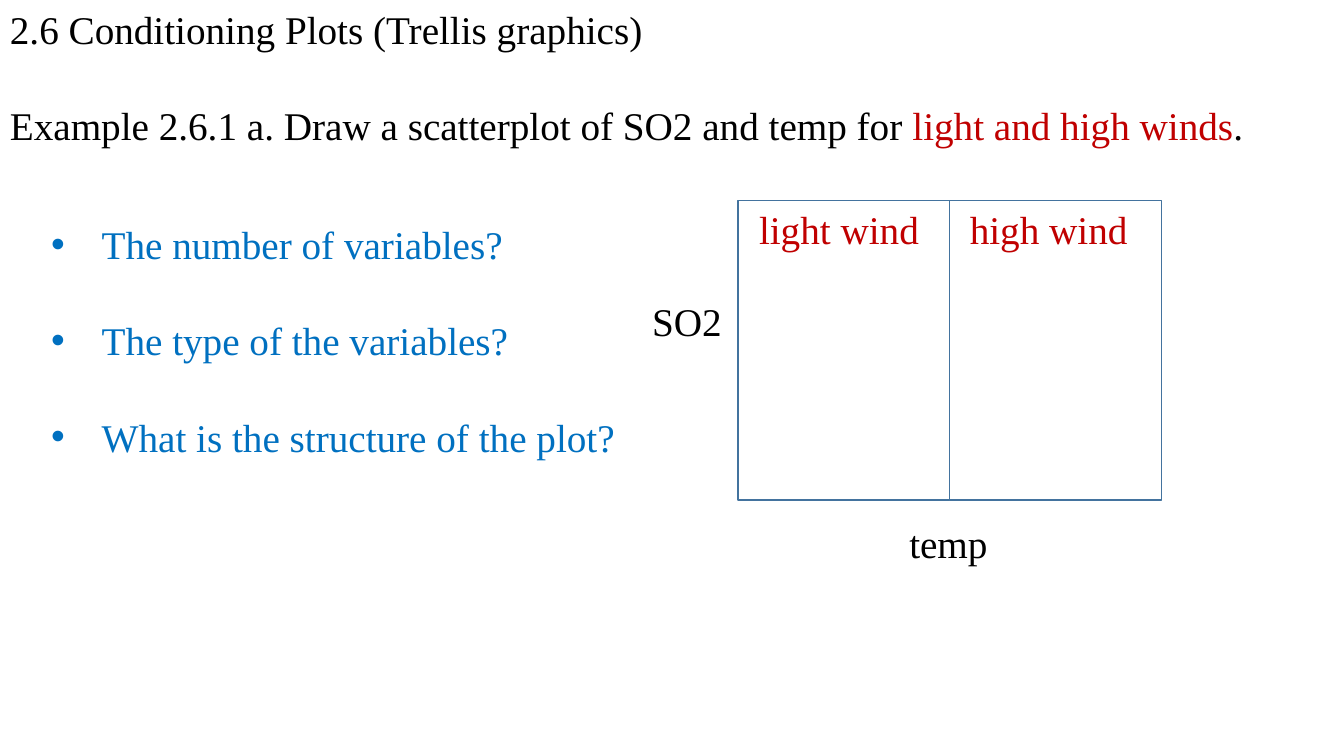
from dataclasses import dataclass

from lxml.etree import SubElement
from pptx import Presentation
from pptx.dml.color import RGBColor
from pptx.enum.shapes import MSO_SHAPE as Shape
from pptx.oxml.ns import qn
from pptx.util import Pt

PX = 9144


@dataclass(frozen=True)
class Theme:
    font: str = "Times New Roman"
    size: int = 28
    gap: int = 35
    ink: str = "000000"
    red: str = "C00000"
    blue: str = "0070C0"
    frame: str = "43739E"


theme = Theme()
deck = Presentation()
deck.slide_width, deck.slide_height = 1333 * PX, 750 * PX
page = deck.slides.add_slide(deck.slide_layouts[6])


def add_text(bounds, paragraphs, wrap=True, bullet=False):
    box = page.shapes.add_textbox(*(length * PX for length in bounds))
    frame = box.text_frame
    frame.word_wrap = wrap
    for index, spans in enumerate(paragraphs):
        para = frame.add_paragraph() if index else frame.paragraphs[0]
        if index:
            para.space_before = Pt(theme.gap)
        if bullet:
            props = para._p.get_or_add_pPr()
            props.set("marL", str(50 * PX))
            props.set("indent", str(-50 * PX))
            SubElement(props, qn("a:buFont")).set("typeface", "Arial")
            SubElement(props, qn("a:buChar")).set("char", "•")
        para.font.name = theme.font
        para.font.size = Pt(theme.size)
        for words, color in spans:
            span = para.add_run()
            span.text = words
            span.font.color.rgb = RGBColor.from_string(color)


add_text((0, 0, 1321, 199), [
    [("2.6 Conditioning Plots (Trellis graphics)", theme.ink)],
    [
        ("Example 2.6.1 a. Draw a scatterplot of SO2 and temp for ", theme.ink),
        ("light and high winds", theme.red),
        (".", theme.ink),
    ],
])

questions = [
    "The number of variables?",
    "The type of the variables?",
    "What is the structure of the plot?",
]
add_text((41, 214, 629, 293), [[(question, theme.blue)] for question in questions], bullet=True)

panel_left, panel_top, panel_width, panel_height = 732, 199, 210, 297
for column in range(2):
    panel = page.shapes.add_shape(
        Shape.RECTANGLE,
        (panel_left + column * panel_width) * PX,
        panel_top * PX,
        panel_width * PX,
        panel_height * PX,
    )
    panel.shadow.inherit = False
    panel.fill.background()
    panel.line.color.rgb = RGBColor.from_string(theme.frame)
    panel.line.width = Pt(1)

labels = [
    ("SO2", 637, 290, 90, theme.ink),
    ("temp", 892, 510, 99, theme.ink),
    ("light wind", 743, panel_top, 180, theme.red),
    ("high wind", 952, panel_top, 178, theme.red),
]
for words, left, top, width, color in labels:
    add_text((left, top, width, 57), [[(words, color)]], wrap=False)

deck.save("out.pptx")
